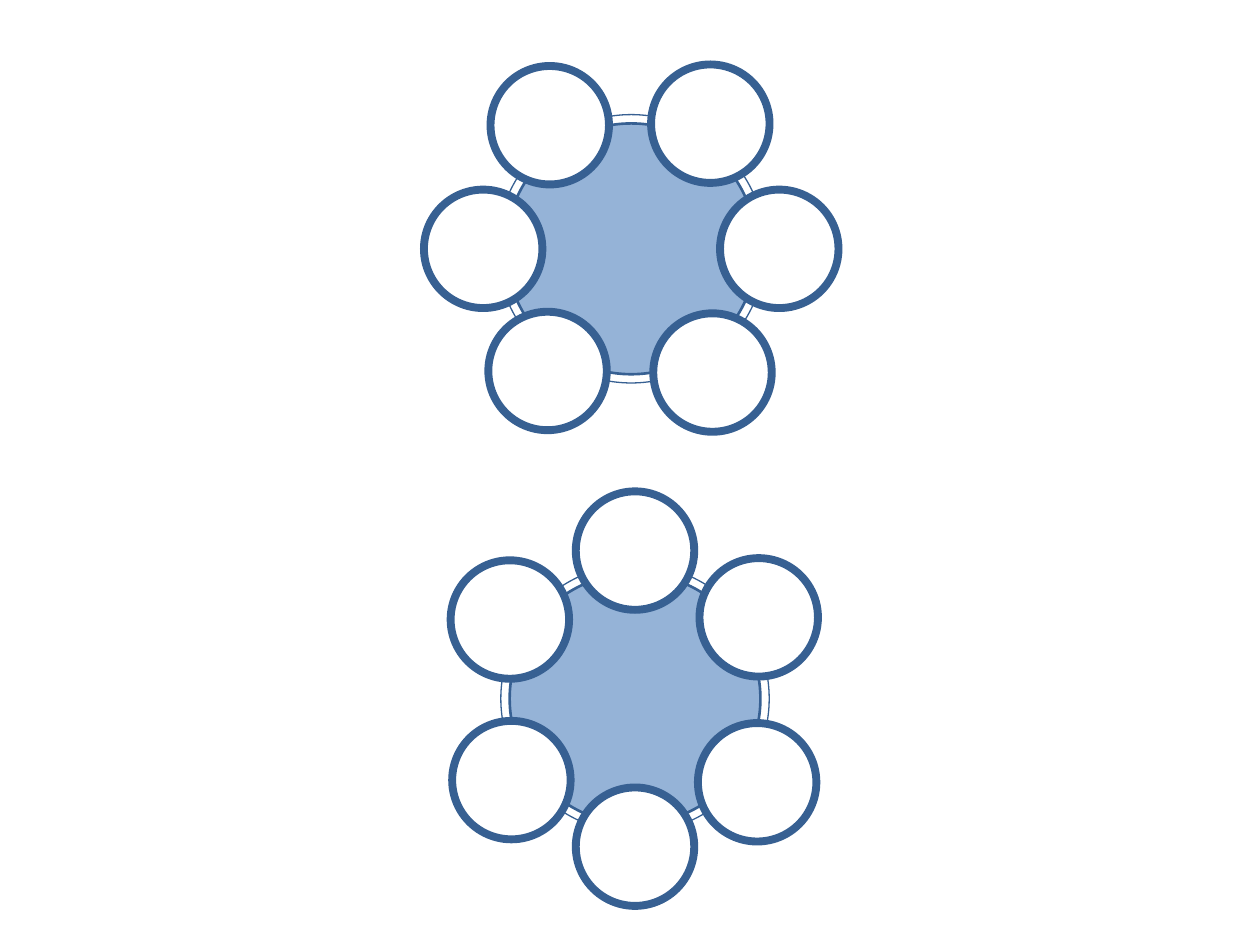
import math
from dataclasses import dataclass

import pptx
import pptx.dml.color
import pptx.enum.shapes
import pptx.util


@dataclass(frozen=True)
class Theme:
    outline: str = "376092"
    hub: str = "95B3D7"
    node: str = "FFFFFF"
    thin: float = 0.75
    medium: float = 1.5
    thick: float = 4.5


class Canvas:
    COLUMNS = 100
    ROWS = 75
    HUB_SIZE = 19.9
    RING_SIZE = 21.3
    NODE_SIZE = 9.4
    ORBIT = 11.75
    NODE_ANGLES = (124.4, 180, 236.6, 56.7, 0, 302.3)

    def __init__(self, presentation, theme):
        self.theme = theme
        self.column = presentation.slide_width / self.COLUMNS
        self.row = presentation.slide_height / self.ROWS
        self.slide = presentation.slides.add_slide(presentation.slide_layouts[6])

    def circle(self, x, y, size, weight, fill=None):
        shape = self.slide.shapes.add_shape(
            pptx.enum.shapes.MSO_SHAPE.OVAL,
            round((x - size / 2) * self.column),
            round((y - size / 2) * self.row),
            round(size * self.column),
            round(size * self.row),
        )
        shape.shadow.inherit = False
        if fill:
            shape.fill.solid()
            shape.fill.fore_color.rgb = pptx.dml.color.RGBColor.from_string(fill)
        else:
            shape.fill.background()
        shape.line.color.rgb = pptx.dml.color.RGBColor.from_string(self.theme.outline)
        shape.line.width = pptx.util.Pt(weight)

    def rosette(self, x, y, turn=0):
        self.circle(x, y, self.HUB_SIZE, self.theme.medium, self.theme.hub)
        self.circle(x, y, self.RING_SIZE, self.theme.thin)
        for degrees in self.NODE_ANGLES:
            angle = math.radians(degrees + turn)
            self.circle(
                x + self.ORBIT * math.cos(angle),
                y + self.ORBIT * math.sin(angle),
                self.NODE_SIZE,
                self.theme.thick,
                self.theme.node,
            )


def main():
    presentation = pptx.Presentation()
    presentation.slide_width = pptx.util.Inches(10)
    presentation.slide_height = pptx.util.Inches(7.5)
    canvas = Canvas(presentation, Theme())
    canvas.rosette(50.1, 19.75)
    canvas.rosette(50.4, 55.45, turn=-90)
    presentation.save("out.pptx")


if __name__ == "__main__":
    main()
